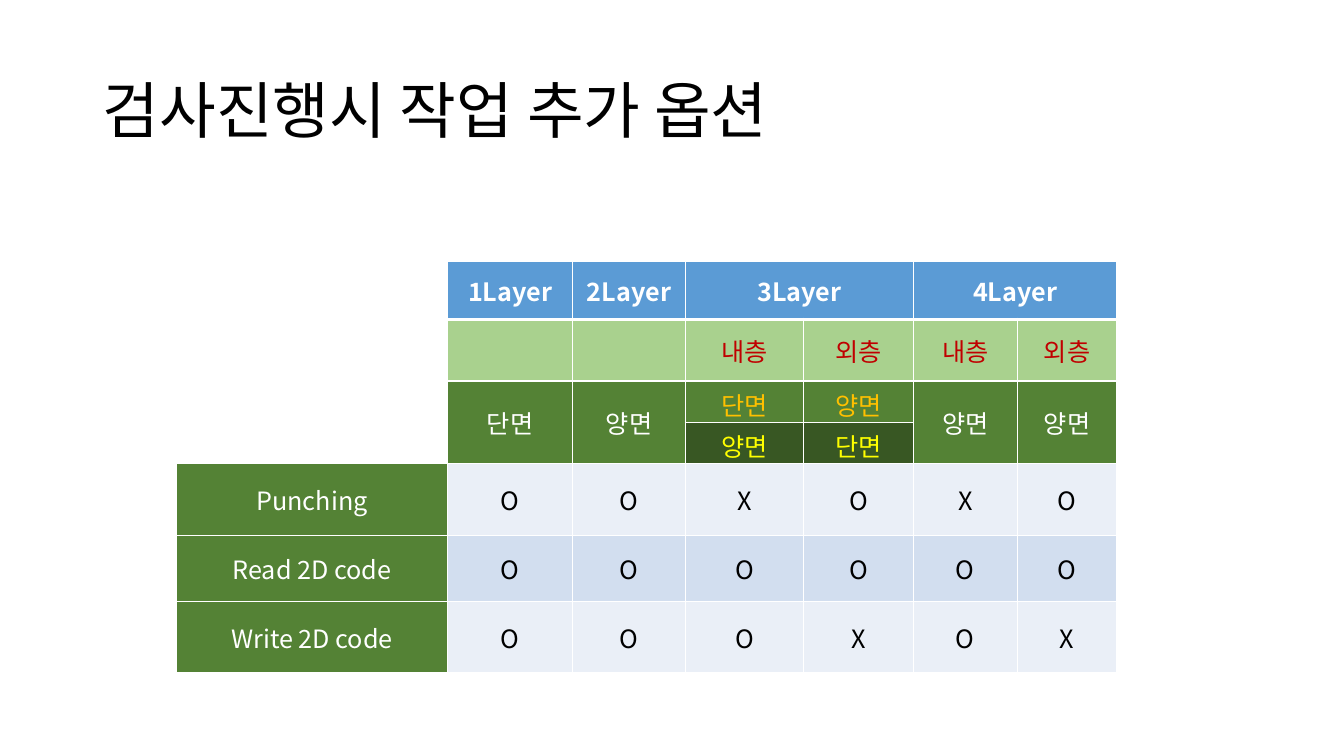
"""Build the slide on extra work options during inspection."""
import pptx
import pptx.dml.color
import pptx.enum.text
import pptx.oxml.ns
import pptx.util
from lxml import etree

Inches = pptx.util.Inches
Align = pptx.enum.text.PP_ALIGN
Anchor = pptx.enum.text.MSO_ANCHOR
qn = pptx.oxml.ns.qn

WHITE, BLACK, RED = "FFFFFF", "000000", "C00000"
GOLD, YELLOW = "FFC000", "FFFF00"
BLUE, LIME, GREEN, DARK = "5B9BD5", "A9D18E", "548235", "385723"
PALE, SKY = "EAEFF7", "D2DEEF"

COLS = [2.69, 1.24, 1.12, 1.17, 1.09, 1.03, 0.99]
ROWS = [0.58, 0.61, 0.41, 0.41, 0.71, 0.66, 0.7]
SPANS = [((0, 3), (0, 4)), ((0, 5), (0, 6))]
SPANS += [((2, col), (3, col)) for col in (0, 1, 2, 5, 6)]

HEADS = [
    (["", "1Layer", "2Layer", "3Layer", "", "4Layer", ""], BLUE, WHITE),
    (["", "", "", "내층", "외층", "내층", "외층"], LIME, RED),
    (["", "단면", "양면", "단면", "양면", "양면", "양면"], GREEN, WHITE),
    (["", "", "", "양면", "단면", "", ""], DARK, YELLOW),
]
MARKS = [
    ("Punching", "OOXOXO", PALE),
    ("Read 2D code", "OOOOOO", SKY),
    ("Write 2D code", "OOOXOX", PALE),
]


def tint(code):
    return pptx.dml.color.RGBColor.from_string(code)


class Deck:
    def __init__(self, font):
        self.font = font
        self.file = pptx.Presentation()
        self.file.slide_width = Inches(13.33)
        self.file.slide_height = Inches(7.5)
        self.slide = self.file.slides.add_slide(self.file.slide_layouts[6])

    def run(self, para, text, size, color, bold=False):
        run = para.add_run()
        run.text = text
        run.font.size = pptx.util.Pt(size)
        run.font.bold = bold
        run.font.color.rgb = tint(color)
        run.font.name = self.font
        east = etree.SubElement(run.font._element, qn("a:ea"))
        east.set("typeface", self.font)

    def title(self, text, left, top, width, height):
        box = self.slide.shapes.add_textbox(
            Inches(left), Inches(top), Inches(width), Inches(height))
        frame = box.text_frame
        frame.word_wrap = True
        frame.vertical_anchor = Anchor.MIDDLE
        para = frame.paragraphs[0]
        para.line_spacing = 0.9
        self.run(para, text, 44, BLACK)

    def table(self, left, top, cols, rows, spans):
        frame = self.slide.shapes.add_table(
            len(rows), len(cols), Inches(left), Inches(top),
            Inches(sum(cols)), Inches(sum(rows)))
        grid = frame.table
        grid.first_row = grid.horz_banding = False
        for col, width in zip(grid.columns, cols):
            col.width = Inches(width)
        for row, height in zip(grid.rows, rows):
            row.height = Inches(height)
        for start, end in spans:
            grid.cell(*start).merge(grid.cell(*end))
        return grid

    def edge(self, cell, side, width):
        props = cell._tc.get_or_add_tcPr()
        line = etree.SubElement(props, qn("a:ln" + side))
        line.set("w", str(pptx.util.Pt(width)))
        fill = etree.SubElement(line, qn("a:solidFill"))
        etree.SubElement(fill, qn("a:srgbClr")).set("val", WHITE)

    def cell(self, cell, text, fill, color, bold=False, top=1, base=1):
        for side, width in zip("LRTB", (1, 1, top, base)):
            self.edge(cell, side, width)
        cell.fill.solid()
        cell.fill.fore_color.rgb = tint(fill)
        cell.vertical_anchor = Anchor.MIDDLE
        para = cell.text_frame.paragraphs[0]
        para.alignment = Align.CENTER
        if text:
            self.run(para, text, 18, color, bold)


def main():
    deck = Deck("Noto Sans CJK KR")
    deck.title("검사진행시 작업 추가 옵션", 0.92, 0.4, 11.5, 1.45)
    grid = deck.table(1.75, 2.59, COLS, ROWS, SPANS)
    for row, (words, fill, color) in enumerate(HEADS):
        for col, word in enumerate(words):
            gold = row == 2 and col in (3, 4)
            deck.cell(grid.cell(row, col), word, fill if col else WHITE,
                      GOLD if gold else color, bold=row == 0,
                      top=3 if row == 1 else 1, base=3 if row == 0 else 1)
    for row, (name, marks, fill) in enumerate(MARKS, len(HEADS)):
        deck.cell(grid.cell(row, 0), name, GREEN, WHITE)
        for col, mark in enumerate(marks, 1):
            deck.cell(grid.cell(row, col), mark, fill, BLACK)
    deck.file.save("out.pptx")


if __name__ == "__main__":
    main()
